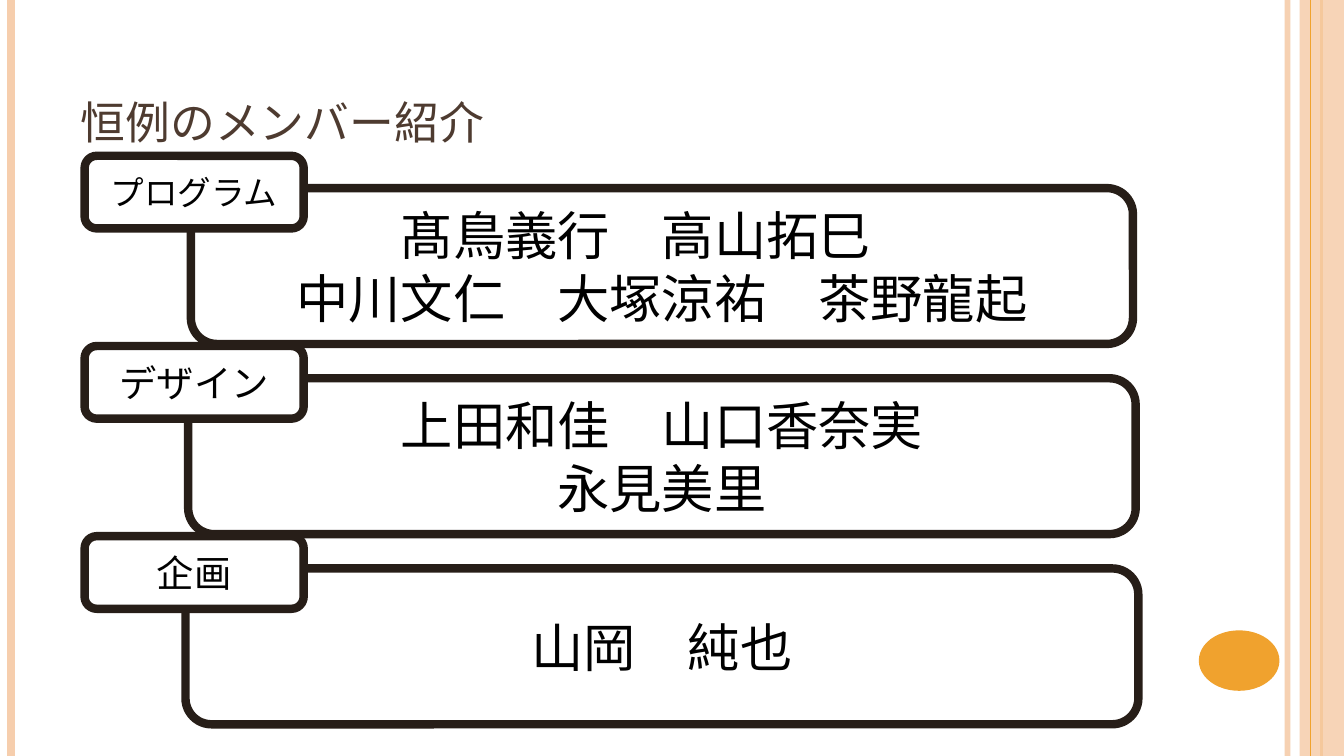
import pptx
import pptx.util
import pptx.dml.color
import pptx.enum.shapes
import pptx.enum.text
import pptx.oxml.ns
from lxml import etree

Inches, Pt = pptx.util.Inches, pptx.util.Pt
SHAPE = pptx.enum.shapes.MSO_SHAPE
ALIGN = pptx.enum.text.PP_ALIGN
ANCHOR = pptx.enum.text.MSO_ANCHOR
WIDTH = 10
HEIGHT = WIDTH * 9 / 16
PEACH, ORANGE, BROWN = "F6CEAD", "F0A22E", "271E18"


def paint(color_format, color, opacity=100):
    color_format.rgb = pptx.dml.color.RGBColor.from_string(color)
    if opacity < 100:
        choice = color_format._xFill.find(pptx.oxml.ns.qn("a:srgbClr"))
        etree.SubElement(choice, pptx.oxml.ns.qn("a:alpha"), val=str(opacity * 1000))


def add_box(kind, place, fill, opacity=100, line=None, lines=(), size=18):
    box = page.shapes.add_shape(kind, *map(Inches, place))
    box.shadow.inherit = False
    box.fill.solid()
    paint(box.fill.fore_color, fill, opacity)
    if line:
        box.line.width = Pt(4.5)
        paint(box.line.color, line)
    else:
        box.line.fill.background()
    box.text_frame.vertical_anchor = ANCHOR.MIDDLE
    for number, text in enumerate(lines):
        para = box.text_frame.paragraphs[0] if number == 0 else box.text_frame.add_paragraph()
        para.alignment = ALIGN.CENTER
        span = para.add_run()
        span.text = text
        for name, value in {"name": "Calibri", "size": Pt(size)}.items():
            setattr(span.font, name, value)
        paint(span.font.color, "000000")


deck = pptx.Presentation()
deck.slide_width, deck.slide_height = Inches(WIDTH), Inches(HEIGHT)
page = deck.slides.add_slide(deck.slide_layouts[5])

# Vertical stripes along both edges; the last one lies over the wide band
stripes = [(9.58, PEACH, 3, 93), (0.08, PEACH, 4.5, 100),
           (9.83, ORANGE, 1.5, 100), (9.75, ORANGE, 0.75, 100)]
for number, (x, color, weight, opacity) in enumerate(stripes):
    if number == 3:
        add_box(SHAPE.RECTANGLE, (9.67, 0, WIDTH - 9.67, HEIGHT), PEACH, opacity=87)
    stripe = page.shapes.add_connector(
        pptx.enum.shapes.MSO_CONNECTOR.STRAIGHT, Inches(x), 0, Inches(x), Inches(HEIGHT))
    stripe.line.width = Pt(weight)
    stripe.line.fill.solid()
    paint(stripe.line.fill.fore_color, color, opacity)
    etree.SubElement(stripe._element.spPr, pptx.oxml.ns.qn("a:effectLst"))
add_box(SHAPE.OVAL, (8.92, 4.69, 0.6, 0.45), ORANGE)

# Title
title = page.shapes.title
for name, value in zip(("left", "top", "width", "height"), (0.5, 0.23, 8.17, 0.94)):
    setattr(title, name, Inches(value))
frame_format = {"vertical_anchor": ANCHOR.BOTTOM, "word_wrap": True,
                "auto_size": pptx.enum.text.MSO_AUTO_SIZE.NONE}
for name, value in frame_format.items():
    setattr(title.text_frame, name, value)
para = title.text_frame.paragraphs[0]
para.alignment = ALIGN.LEFT
span = para.add_run()
span.text = "恒例のメンバー紹介"
for name, value in {"name": "Calibri", "size": Pt(30)}.items():
    setattr(span.font, name, value)
paint(span.font.color, "4E3B30")
span.font._element.set("cap", "small")

# One row per team: a wide box of members under a small label
ROW_TOP, ROW_STEP = 1.16, 2.83 / 2
teams = [
    ("プログラム", 18, ["髙鳥義行　高山拓巳　", "中川文仁　大塚涼祐　茶野龍起"]),
    ("デザイン", 20, ["上田和佳　山口香奈実", "永見美里"]),
    ("企画", 20, ["山岡　純也"]),
]
for row, (team, size, members) in enumerate(teams):
    top = ROW_TOP + row * ROW_STEP
    widening = 0.02 * row
    add_box(SHAPE.ROUNDED_RECTANGLE, (1.42 - widening, top + 0.24, 7.01 + 2 * widening, 1.16),
            "FFFFFF", line=BROWN, lines=members, size=28)
    add_box(SHAPE.ROUNDED_RECTANGLE, (0.63, top, 1.63, 0.54),
            "FFFFFF", line=BROWN, lines=[team], size=size)

deck.save("out.pptx")
